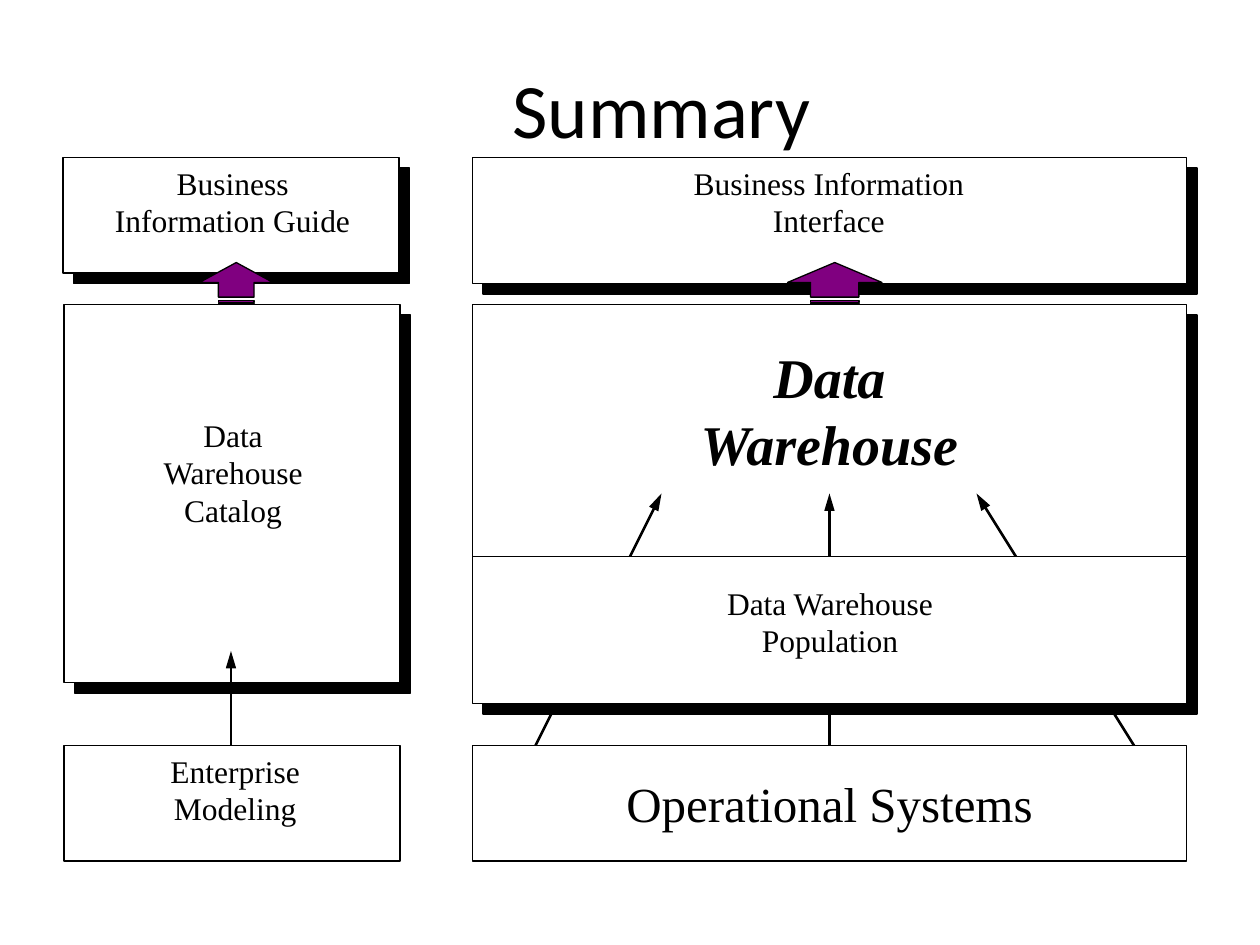
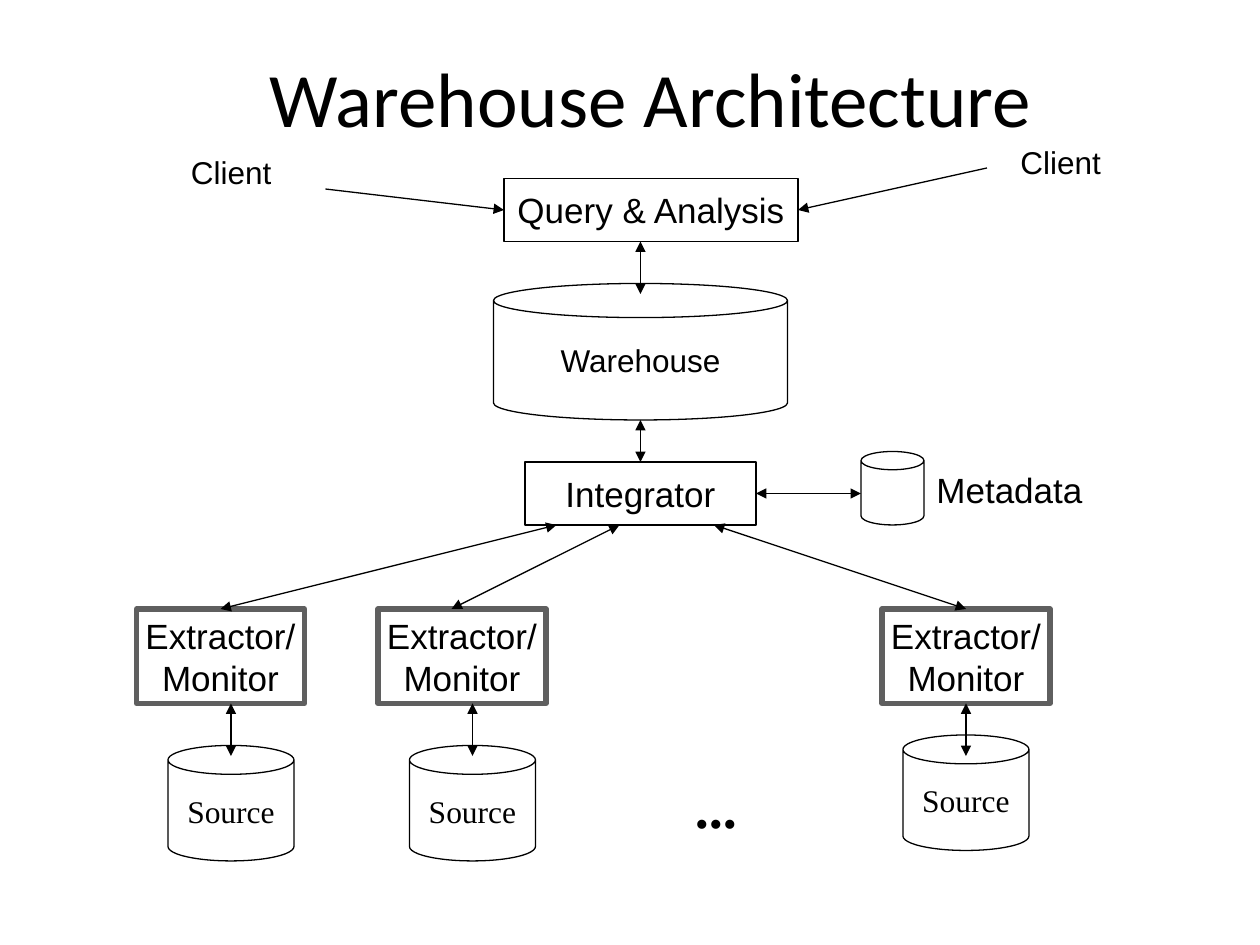
from dataclasses import dataclass
from typing import Optional

from pptx import Presentation
from pptx.dml.color import RGBColor
from pptx.enum.shapes import MSO_CONNECTOR, MSO_SHAPE
from pptx.enum.text import MSO_ANCHOR, MSO_AUTO_SIZE, PP_ALIGN
from pptx.oxml.ns import qn
from pptx.oxml.xmlchemy import OxmlElement
from pptx.util import Pt

PX = 7620  # EMU; 120 px to the inch

BLACK = RGBColor(0x00, 0x00, 0x00)
WHITE = RGBColor(0xFF, 0xFF, 0xFF)
GRAY = RGBColor(0x5F, 0x5F, 0x5F)
PURPLE = RGBColor(0x80, 0x00, 0x80)

HEADING, SERIF, SANS = "Calibri", "Times New Roman", "Arial"
RECT, CAN = MSO_SHAPE.RECTANGLE, MSO_SHAPE.CAN
CENTER, LEFT = PP_ALIGN.CENTER, PP_ALIGN.LEFT


@dataclass(frozen=True)
class Box:
    left: int
    top: int
    width: int
    height: int
    text: str = ""
    size: int = 18
    font: str = SERIF
    kind: MSO_SHAPE = RECT
    fill: Optional[RGBColor] = None
    line: RGBColor = BLACK
    weight: float = 0.75
    shadow: bool = False
    adj: Optional[float] = None


@dataclass(frozen=True)
class Label:
    left: int
    top: int
    width: int
    height: int
    text: str
    size: int = 18
    font: str = SERIF
    align: PP_ALIGN = CENTER
    bold: bool = False
    italic: bool = False


@dataclass(frozen=True)
class Arrow:
    x1: int
    y1: int
    x2: int
    y2: int
    both: bool = False
    weight: float = 0.75
    length: str = "med"


def write_text(tf, text: str, *, size: int, font: str, align=CENTER,
               bold: bool = False, italic: bool = False) -> None:
    for i, line in enumerate(text.split("\n")):
        p = tf.paragraphs[0] if i == 0 else tf.add_paragraph()
        p.alignment = align
        r = p.add_run()
        r.text = line
        r.font.size, r.font.name = Pt(size), font
        r.font.bold, r.font.italic = bold, italic
        r.font.color.rgb = BLACK


def sub_element(parent, tag: str, **attrs: str):
    el = OxmlElement(tag)
    for name, value in attrs.items():
        el.set(name, value)
    parent.append(el)
    return el


def add_hard_shadow(sp) -> None:
    """Solid black shadow, 8.5 pt towards the lower right."""
    effects = sp._element.spPr.find(qn("a:effectLst"))
    shadow = sub_element(effects, "a:outerShdw", blurRad="0", dist=str(Pt(8.5)),
                         dir="2700000", algn="ctr", rotWithShape="0")
    sub_element(shadow, "a:srgbClr", val=str(BLACK))


def style_shape(sp, fill: Optional[RGBColor], line: RGBColor, weight: float) -> None:
    if fill is None:
        sp.fill.background()
    else:
        sp.fill.solid()
        sp.fill.fore_color.rgb = fill
    sp.line.color.rgb = line
    sp.line.width = Pt(weight)
    sp.shadow.inherit = False


def add_box(slide, b: Box) -> None:
    sp = slide.shapes.add_shape(b.kind, b.left * PX, b.top * PX,
                                b.width * PX, b.height * PX)
    style_shape(sp, b.fill, b.line, b.weight)
    if b.adj is not None:
        sp.adjustments[0] = b.adj
    if b.shadow:
        add_hard_shadow(sp)
    if b.text:
        tf = sp.text_frame
        tf.word_wrap = False
        tf.vertical_anchor = MSO_ANCHOR.MIDDLE
        write_text(tf, b.text, size=b.size, font=b.font)


def add_label(slide, t: Label) -> None:
    sp = slide.shapes.add_textbox(t.left * PX, t.top * PX, t.width * PX, t.height * PX)
    tf = sp.text_frame
    tf.word_wrap = False
    tf.auto_size = MSO_AUTO_SIZE.SHAPE_TO_FIT_TEXT
    write_text(tf, t.text, size=t.size, font=t.font, align=t.align,
               bold=t.bold, italic=t.italic)


def add_arrow(slide, a: Arrow) -> None:
    cxn = slide.shapes.add_connector(MSO_CONNECTOR.STRAIGHT, a.x1 * PX, a.y1 * PX,
                                     a.x2 * PX, a.y2 * PX)
    cxn.line.color.rgb = BLACK
    cxn.line.width = Pt(a.weight)
    spPr = cxn._element.spPr
    ln = spPr.find(qn("a:ln"))
    for end in ("a:headEnd", "a:tailEnd") if a.both else ("a:tailEnd",):
        sub_element(ln, end, type="triangle", w="med", len=a.length)
    sub_element(spPr, "a:effectLst")


def add_striped_arrow(slide, cx: int, head: int, shaft: int) -> None:
    """Up arrow with two stripes below; head and shaft are half widths."""
    left, right = cx - shaft, cx + shaft
    fb = slide.shapes.build_freeform(cx, 250, scale=PX)
    fb.add_line_segments([(cx + head, 269), (right, 269), (right, 283),
                          (left, 283), (left, 269), (cx - head, 269)])
    for top, bottom in ((286, 288), (289, 290)):
        fb.move_to(left, bottom)
        fb.add_line_segments([(right, bottom), (right, top), (left, top)])
    style_shape(fb.convert_to_shape(), PURPLE, BLACK, 0.75)


def add_titled_slide(prs, title: str, left: int, top: int, width: int):
    slide = prs.slides.add_slide(prs.slide_layouts[5])
    sp = slide.shapes.title
    sp.left, sp.top, sp.width, sp.height = left * PX, top * PX, width * PX, 145 * PX
    sp.text_frame.vertical_anchor = MSO_ANCHOR.MIDDLE
    write_text(sp.text_frame, title, size=44, font=HEADING)
    return slide


def build_summary(prs) -> None:
    slide = add_titled_slide(prs, "Summary", 139, 30, 982)
    guide_x, main_x, guide_w, main_w = 61, 450, 320, 680
    base_y, base_h = 710, 110

    def panel(left: int, top: int, width: int, height: int) -> None:
        add_box(slide, Box(left, top, width, height, fill=WHITE, shadow=True))

    def flow(x1: int, x2: int, y2: int) -> None:
        add_arrow(slide, Arrow(x1, base_y, x2, y2, weight=1.5, length="lg"))

    panel(main_x, 290, main_w, 265)
    for x1, x2 in ((510, 630), (1080, 930), (790, 790)):
        flow(x1, x2, 470)
    add_box(slide, Box(guide_x, base_y, guide_w, base_h))
    add_box(slide, Box(main_x, base_y, main_w, base_h, "Operational Systems", 28))
    panel(main_x, 530, main_w, 140)
    panel(main_x, 150, main_w, 120)
    panel(guide_x, 290, guide_w, 360)
    panel(guide_x - 1, 150, guide_w, 110)

    for label in (
        Label(130, base_y, 188, 108, "Enterprise\nModeling"),
        Label(60, 150, 323, 108, "Business\nInformation Guide"),
        Label(120, 390, 204, 156, "Data\nWarehouse\nCatalog"),
        Label(646, 550, 289, 108, "Data Warehouse\nPopulation"),
        Label(653, 320, 274, 140, "Data\nWarehouse", 32, bold=True, italic=True),
        Label(606, 150, 367, 108, "Business Information\nInterface"),
    ):
        add_label(slide, label)

    add_striped_arrow(slide, 795, 45, 23)
    flow(220, 220, 620)
    add_striped_arrow(slide, 225, 35, 17)


def build_architecture(prs) -> None:
    slide = add_titled_slide(prs, "Warehouse Architecture", 110, 20, 1020)

    # extractor left, source top, link x, link end on the integrator
    for left, source_y, link_x, end_x in ((130, 710, 210, 530),
                                          (360, 710, 430, 590),
                                          (840, 700, 920, 680)):
        add_box(slide, Box(left + (20 if left == 840 else 30), source_y, 120, 110,
                           "Source", kind=CAN))
        add_box(slide, Box(left, 580, 160, 90, "Extractor/\nMonitor", 20, SANS,
                           line=GRAY, weight=3))
        source_x = left + (80 if left == 840 else 80 + 10 * (left == 130) + 10 * (left == 360))
        add_arrow(slide, Arrow(source_x, 720, source_x, 670, both=True))
        add_arrow(slide, Arrow(link_x, 580, end_x, 500, both=True))

    for box in (
        Box(500, 440, 220, 60, "Integrator", 20, SANS),
        Box(470, 270, 280, 130, "Warehouse", 18, SANS, kind=CAN),
        Box(480, 170, 280, 60, "Query & Analysis", 20, SANS),
        Box(820, 430, 60, 70, kind=CAN, fill=WHITE, adj=0.29),
    ):
        add_box(slide, box)

    for arrow in (
        Arrow(610, 440, 610, 400, both=True),
        Arrow(610, 280, 610, 230, both=True),
        Arrow(720, 470, 820, 470, both=True),
        Arrow(310, 180, 480, 200),
        Arrow(940, 160, 760, 200),
    ):
        add_arrow(slide, arrow)

    for label in (
        Label(170, 140, 127, 60, "Client", 18, SANS, LEFT),
        Label(960, 130, 127, 60, "Client", 18, SANS, LEFT),
        Label(650, 730, 64, 76, "...", 32, SERIF, LEFT, bold=True),
        Label(880, 440, 163, 52, "Metadata", 20, SANS, LEFT),
    ):
        add_label(slide, label)


def main() -> None:
    prs = Presentation()
    prs.slide_width, prs.slide_height = 1200 * PX, 900 * PX
    build_summary(prs)
    build_architecture(prs)
    prs.save("out.pptx")


if __name__ == "__main__":
    main()
